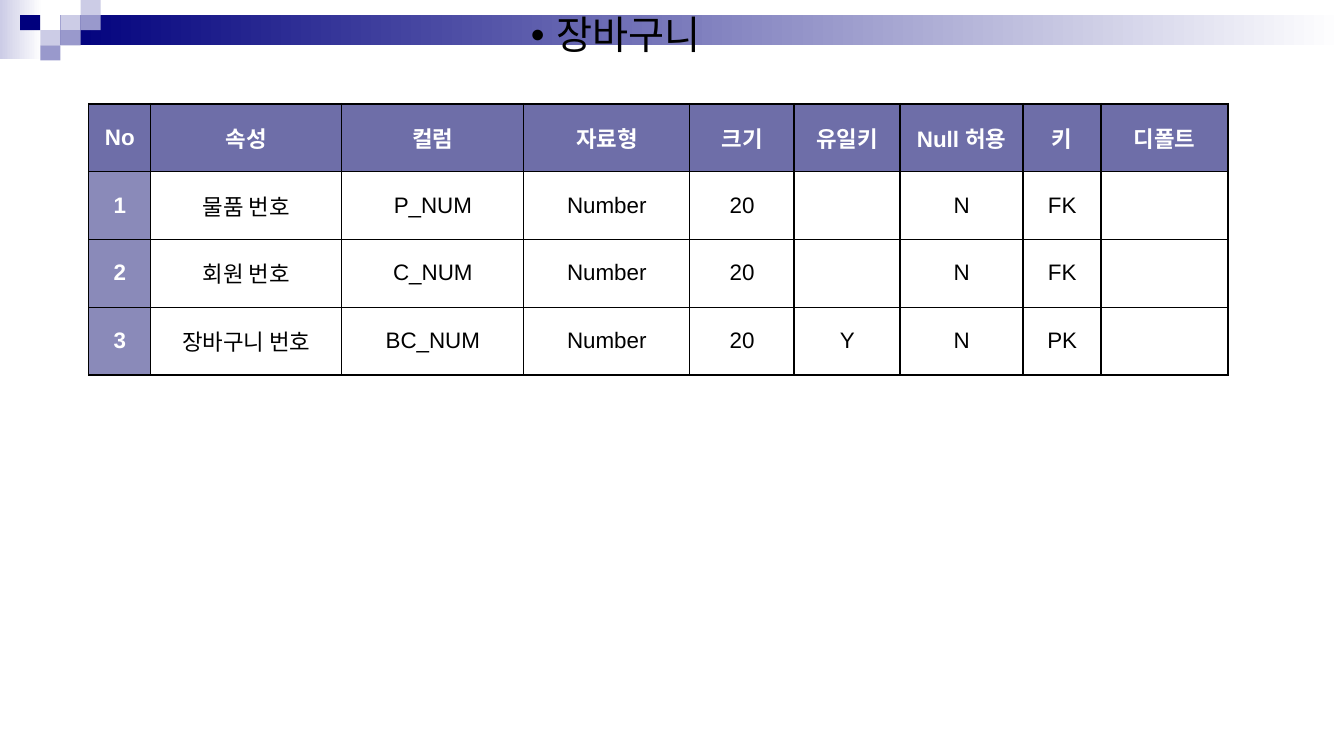
"""Build the shopping cart table definition slide."""
from lxml.etree import SubElement as Sub
from pptx import Presentation
from pptx.dml.color import RGBColor
from pptx.enum.shapes import MSO_SHAPE as Shape
from pptx.enum.text import MSO_ANCHOR as Anchor, MSO_AUTO_SIZE as Auto, PP_ALIGN as Align
from pptx.oxml import parse_xml
from pptx.oxml.ns import nsdecls, qn
from pptx.util import Pt

TITLE = "장바구니"
ROWS = [
    ("No", "속성", "컬럼", "자료형", "크기", "유일키", "Null 허용", "키", "디폴트"),
    ("1", "물품 번호", "P_NUM", "Number", "20", "", "N", "FK", ""),
    ("2", "회원 번호", "C_NUM", "Number", "20", "", "N", "FK", ""),
    ("3", "장바구니 번호", "BC_NUM", "Number", "20", "Y", "N", "PK", ""),
]
WIDTHS = (44.4, 136.4, 130, 118.6, 74.6, 75.7, 87.8, 55.8, 90.4)
LEFT, TOP, HIGH = 63.4, 74.2, 48.4
THIN, THICK = 0.75, 1.5
THICK_FROM = 5
NAVY, MID, PALE, WHITE, BLACK = "00007D", "9999CC", "CCCCE6", "FFFFFF", "000000"
HEAD, SIDE = "6E6EA8", "8A8AB9"
BANDS = [(0, 0, 30.2, 42, PALE), (43.2, 10.8, 916.8, 21.6, NAVY)]
STEP_X, STEP_Y = 14.4, 10.8
TILES = [(3, 1, PALE), (4, 0, PALE), (4, 1, MID), (2, 2, PALE),
         (1, 1, NAVY), (3, 2, MID), (2, 3, MID)]


def rgb(code):
    return RGBColor.from_string(code)


def box(slide, x, y, w, h):
    rect = slide.shapes.add_shape(Shape.RECTANGLE, Pt(x), Pt(y), Pt(w), Pt(h))
    rect.shadow.inherit = False
    rect.line.fill.background()
    return rect.fill


def style(para, size, color, bold=False):
    para.alignment = Align.CENTER
    font = para.font
    font.name, font.size, font.bold = "Arial", Pt(size), bold
    font.color.rgb = rgb(color)


def add_bands(slide):
    for x, y, w, h, color in BANDS:
        fill = box(slide, x, y, w, h)
        fill.gradient()
        fill.gradient_angle = 0
        for stop, tint in zip(fill.gradient_stops, (color, WHITE)):
            stop.color.rgb = rgb(tint)
    for col, row, color in TILES:
        fill = box(slide, col * STEP_X, row * STEP_Y, STEP_X, STEP_Y)
        fill.solid()
        fill.fore_color.rgb = rgb(color)


def add_title(slide):
    title = slide.shapes.title
    title.element.getparent().append(title.element)
    title.left, title.top, title.width, title.height = Pt(134), Pt(-34.6), Pt(611.3), Pt(105.8)
    frame = title.text_frame
    frame.text = TITLE
    frame.word_wrap = True
    frame.auto_size = Auto.NONE
    frame.vertical_anchor = Anchor.MIDDLE
    frame.margin_top, frame.margin_bottom = Pt(20), Pt(3.6)
    para = frame.paragraphs[0]
    para.line_spacing = 0.9
    para.space_before = Pt(0)
    props = para._p.get_or_add_pPr()
    props.set("marL", str(Pt(18)))
    props.set("indent", str(Pt(-18)))
    Sub(props, qn("a:buFont"), typeface="Arial")
    Sub(props, qn("a:buChar"), char="•")
    style(para, 28, BLACK)


def add_edges(cell, row, col):
    sides = {
        "L": THICK if col >= THICK_FROM else THIN,
        "R": THICK if col + 1 >= THICK_FROM else THIN,
        "T": THICK if row == 0 else THIN,
        "B": THICK if row == len(ROWS) - 1 else THIN,
    }
    props = cell._tc.get_or_add_tcPr()
    for spot, (side, width) in enumerate(sides.items()):
        props.insert(spot, parse_xml(
            f'<a:ln{side} {nsdecls("a")} w="{Pt(width)}"><a:solidFill>'
            f'<a:srgbClr val="{BLACK}"/></a:solidFill></a:ln{side}>'))


def add_grid(slide):
    table = slide.shapes.add_table(len(ROWS), len(WIDTHS), Pt(LEFT), Pt(TOP),
                                   Pt(sum(WIDTHS)), Pt(HIGH * len(ROWS))).table
    table.first_row = table.horz_banding = False
    for col, width in enumerate(WIDTHS):
        table.columns[col].width = Pt(width)
    for row, words in enumerate(ROWS):
        table.rows[row].height = Pt(HIGH)
        for col, word in enumerate(words):
            cell = table.cell(row, col)
            cell.text = word
            cell.vertical_anchor = Anchor.MIDDLE
            cell.margin_left = cell.margin_right = Pt(4.3)
            cell.margin_top = cell.margin_bottom = Pt(4.3)
            label = row == 0 or col == 0
            if label:
                cell.fill.solid()
                cell.fill.fore_color.rgb = rgb(HEAD if row == 0 else SIDE)
            else:
                cell.fill.background()
            add_edges(cell, row, col)
            style(cell.text_frame.paragraphs[0], 16, WHITE if label else BLACK, label)


def main():
    deck = Presentation()
    deck.slide_width, deck.slide_height = Pt(960), Pt(540)
    slide = deck.slides.add_slide(deck.slide_layouts[5])
    add_bands(slide)
    add_title(slide)
    add_grid(slide)
    deck.save("out.pptx")


if __name__ == "__main__":
    main()
